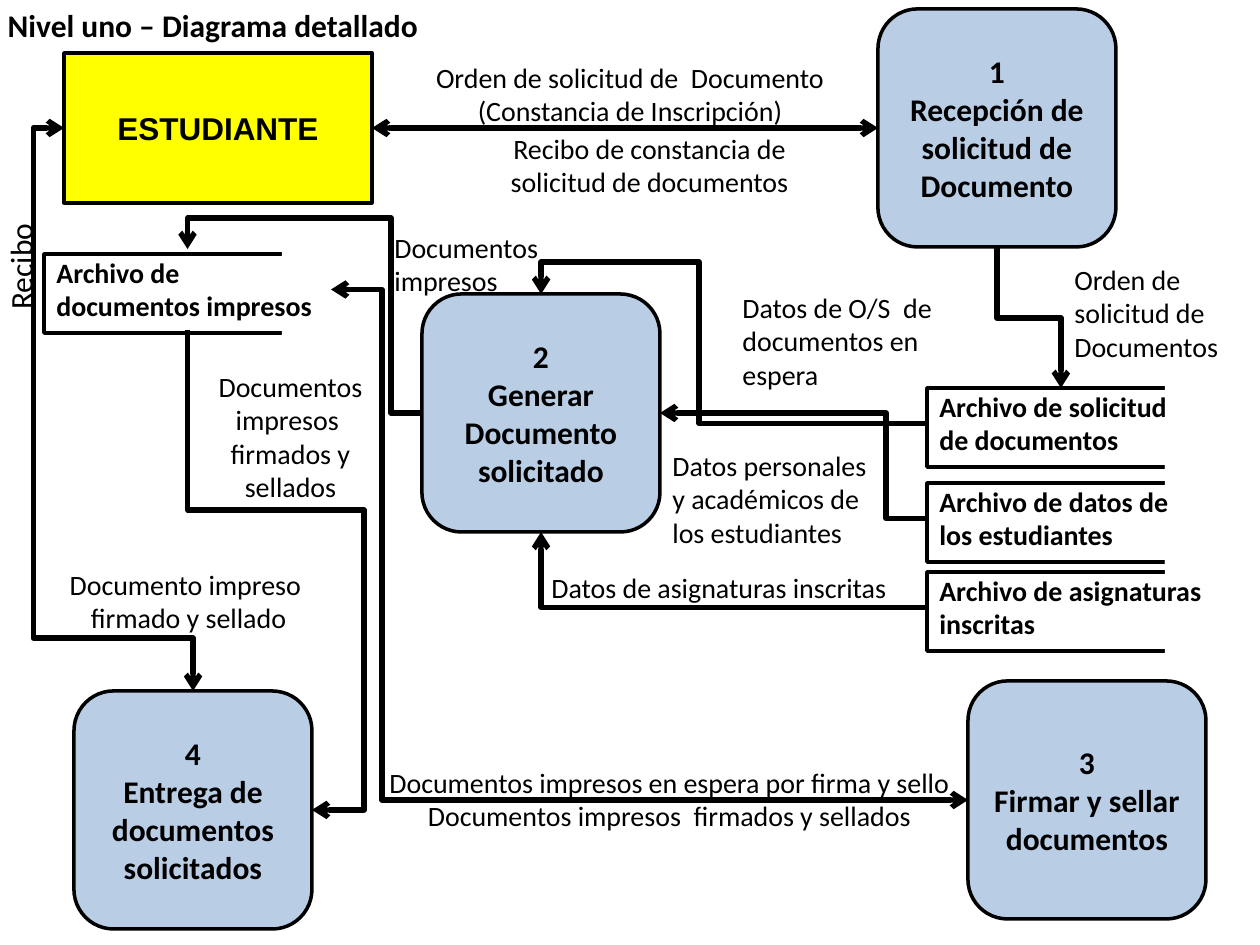
from lxml.etree import SubElement
from pptx import Presentation
from pptx.dml.color import RGBColor
from pptx.enum.shapes import MSO_CONNECTOR, MSO_SHAPE
from pptx.enum.text import MSO_ANCHOR, MSO_AUTO_SIZE, PP_ALIGN
from pptx.oxml.ns import qn
from pptx.util import Pt

EMU_PER_PX = 914400 / 126
THEME = {
    "ink": RGBColor(0, 0, 0),
    "paper": RGBColor(255, 255, 255),
    "entity": RGBColor(255, 255, 0),
    "process": RGBColor(0xB9, 0xCD, 0xE5),
    "font": "Calibri",
    "entity_font": "Arial",
    "large": Pt(18),
    "small": Pt(16),
    "outline": Pt(2),
    "arrow": Pt(3),
}
TOP, LEFT, BOTTOM, RIGHT = range(4)
CENTER, START = PP_ALIGN.CENTER, PP_ALIGN.LEFT

TITLE = ("Nivel uno – Diagrama detallado", (-15, 0, 456, 50))
ENTITY = ("ESTUDIANTE", (64, 53, 308, 150))

PROCESS_SIDE = 238
PROCESSES = [  # number, name, left, top
    ("1", "Recepción de solicitud de Documento", 878, 9),
    ("2", "Generar Documento solicitado", 422, 294),
    ("3", "Firmar y sellar documentos", 968, 681),
    ("4", "Entrega de documentos solicitados", 74, 691),
]

STORES = [  # key, name, left, top
    ("solicitud", "Archivo de solicitud de documentos", 927, 383),
    ("datos", "Archivo de datos de los estudiantes", 927, 478),
    ("asignaturas", "Archivo de asignaturas inscritas", 927, 567),
    ("impresos", "Archivo de documentos impresos", 44, 249),
]

# origin, side, target, side, bends (first along the starting direction), two-way
FLOWS = [
    ("1", BOTTOM, "solicitud frame", TOP, [318], False),
    ("solicitud", LEFT, "2", TOP, [699, 262], False),
    ("datos", LEFT, "2", RIGHT, [886], False),
    ("asignaturas", LEFT, "2", BOTTOM, [], False),
    ("2", LEFT, "impresos", TOP, [391, 218], False),
    ("impresos", RIGHT, "3", LEFT, [382], True),
    ("impresos", BOTTOM, "4", RIGHT, [510, 364], False),
    ("4", TOP, "entity", LEFT, [638, 33], True),
]

LABELS = [  # paragraphs, box, alignment
    (["Orden de solicitud de  Documento (Constancia de Inscripción)"], (382, 54, 496, 81), CENTER),
    (["Recibo de constancia de solicitud de documentos"], (471, 125, 357, 81), CENTER),
    (["Orden de solicitud de Documentos"], (1062, 256, 213, 115), START),
    (["Datos de O/S  de documentos en espera"], (730, 284, 258, 115), START),
    (["Datos personales y académicos de los estudiantes"], (660, 442, 228, 115), START),
    (["Datos de asignaturas inscritas"], (539, 564, 378, 47), START),
    (["Documentos impresos"], (382, 224, 277, 81), START),
    (["Documentos impresos en espera por firma y sello",
      "Documentos impresos  firmados y sellados"], (362, 759, 615, 81), CENTER),
    (["Documentos impresos  firmados y sellados"], (189, 363, 203, 149), CENTER),
    (["Documento impreso  firmado y sellado"], (35, 561, 307, 81), CENTER),
]
RECEIPT = ("Recibo", (-39, 238, 118, 50))


def emu(px):
    return round(px * EMU_PER_PX)


def write(shape, paragraphs, align, anchor=MSO_ANCHOR.TOP, **font):
    frame = shape.text_frame
    frame.word_wrap = True
    frame.vertical_anchor = anchor
    look = {"name": THEME["font"], "size": THEME["large"], "bold": False} | font
    for index, text in enumerate(paragraphs):
        para = frame.add_paragraph() if index else frame.paragraphs[0]
        para.alignment = align
        span = para.add_run()
        span.text = text
        for name, value in look.items():
            setattr(span.font, name, value)
        span.font.color.rgb = THEME["ink"]


def add_block(page, kind, box, fill, outlined=True):
    shape = page.shapes.add_shape(kind, *map(emu, box))
    shape.shadow.inherit = False
    shape.fill.solid()
    shape.fill.fore_color.rgb = THEME[fill]
    if outlined:
        shape.line.color.rgb = THEME["ink"]
        shape.line.width = THEME["outline"]
    else:
        shape.line.fill.background()
    return shape


def add_label(page, paragraphs, box, align, **font):
    label = page.shapes.add_textbox(*map(emu, box))
    write(label, paragraphs, align, **font)
    label.text_frame.auto_size = MSO_AUTO_SIZE.SHAPE_TO_FIT_TEXT
    return label


def add_store(page, name, left, top):
    """Draw a data store open on the right; return its text box and its frame."""
    frame = add_block(page, MSO_SHAPE.RECTANGLE, (left, top + 5, 268, 79), "paper")
    add_block(page, MSO_SHAPE.RECTANGLE, (left + 238, top - 15, 39, 129), "paper", outlined=False)
    label = add_label(page, [name], (left, top, 287, 81), START, size=THEME["small"], bold=True)
    return label, frame


def add_arrow(page, kind, origin, origin_side, target, target_side, two_way):
    arrow = page.shapes.add_connector(kind, 0, 0, 0, 0)
    arrow.begin_connect(origin, origin_side)
    arrow.end_connect(target, target_side)
    arrow.line.color.rgb = THEME["ink"]
    arrow.line.width = THEME["arrow"]
    properties = arrow._element.spPr
    line = properties.find(qn("a:ln"))
    for end in ["a:headEnd", "a:tailEnd"] if two_way else ["a:tailEnd"]:
        SubElement(line, qn(end), type="arrow")
    SubElement(properties, qn("a:effectLst"))
    return arrow


def bend(arrow, vertical, bends):
    """Route an elbow connector through the given bend coordinates."""
    starts = (arrow.begin_x, arrow.begin_y)
    spans = (arrow.end_x - arrow.begin_x, arrow.end_y - arrow.begin_y)
    middles = [start + span / 2 for start, span in zip(starts, spans)]
    axes = (1, 0) if vertical else (0, 1)
    width, height = (abs(spans[axis]) for axis in axes)
    right, down = (span >= 0 for span in spans)

    place = {"left": round(middles[0] - width / 2), "top": round(middles[1] - height / 2),
             "width": width, "height": height}
    for name, value in place.items():
        setattr(arrow, name, value)
    turn = {"rot": 270 if vertical else 0 if right else 180,
            "flipH": vertical and down,
            "flipV": not right if vertical else right != down}
    transform = arrow._element.spPr.find(qn("a:xfrm"))
    for name, value in turn.items():
        setattr(transform, name, value)

    geometry = arrow._element.spPr.find(qn("a:prstGeom"))
    geometry.set("prst", f"bentConnector{len(bends) + 2}")
    guides = geometry.find(qn("a:avLst"))
    for number, (position, axis) in enumerate(zip(bends, axes), 1):
        share = round((emu(position) - starts[axis]) / spans[axis] * 100000)
        SubElement(guides, qn("a:gd"), name=f"adj{number}", fmla=f"val {share}")


def main():
    deck = Presentation()
    deck.slide_width, deck.slide_height = emu(1260), emu(945)
    page = deck.slides.add_slide(deck.slide_layouts[5])

    text, box = TITLE
    title = page.shapes.title
    for name, px in zip(("left", "top", "width", "height"), box):
        setattr(title, name, emu(px))
    write(title, [text], CENTER, bold=True)

    nodes = {}
    text, box = ENTITY
    nodes["entity"] = add_block(page, MSO_SHAPE.RECTANGLE, box, "entity")
    write(nodes["entity"], [text], CENTER, MSO_ANCHOR.MIDDLE, name=THEME["entity_font"], bold=True)
    for key, name, left, top in STORES:
        nodes[key], nodes[f"{key} frame"] = add_store(page, name, left, top)
    for number, name, left, top in PROCESSES:
        box = (left, top, PROCESS_SIDE, PROCESS_SIDE)
        nodes[number] = add_block(page, MSO_SHAPE.ROUNDED_RECTANGLE, box, "process")
        write(nodes[number], [number, name], CENTER, MSO_ANCHOR.MIDDLE, bold=True)

    add_arrow(page, MSO_CONNECTOR.STRAIGHT, nodes["entity"], RIGHT, nodes["1"], LEFT, True)
    for origin, origin_side, target, target_side, bends, two_way in FLOWS:
        arrow = add_arrow(page, MSO_CONNECTOR.ELBOW, nodes[origin], origin_side,
                          nodes[target], target_side, two_way)
        bend(arrow, origin_side in (TOP, BOTTOM), bends)

    for paragraphs, box, align in LABELS:
        add_label(page, paragraphs, box, align, size=THEME["small"])
    text, box = RECEIPT
    add_label(page, [text], box, START).rotation = 270

    deck.save("out.pptx")


if __name__ == "__main__":
    main()
